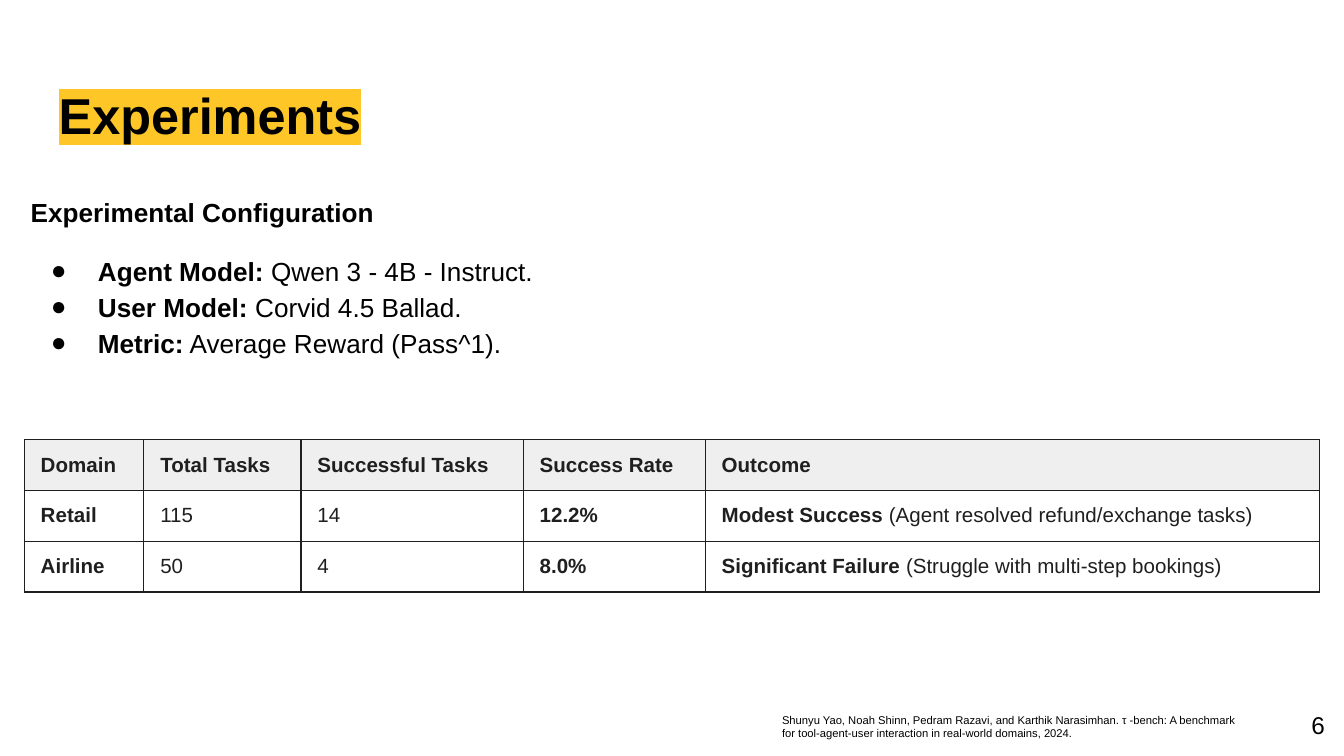
from dataclasses import dataclass

from lxml.etree import SubElement
from pptx import Presentation
from pptx.dml.color import RGBColor
from pptx.enum.text import MSO_ANCHOR, MSO_AUTO_SIZE, PP_ALIGN
from pptx.oxml import parse_xml
from pptx.oxml.ns import nsdecls, qn
from pptx.util import Cm, Pt

FONT = "Arial"
BLACK, INK, GRAY, GOLD = "000000", "1F1F1F", "EFEFEF", "FFC627"


@dataclass
class Run:
    text: str
    bold: bool = False


@dataclass
class Line:
    runs: list[Run]
    before: float = 0
    bullet: bool = False


@dataclass
class Style:
    size: float
    color: str = BLACK
    space: float = 1.0
    align: PP_ALIGN = PP_ALIGN.LEFT


def paint(color: str) -> RGBColor:
    return RGBColor.from_string(color)


def apply(target, **values) -> None:
    for name, value in values.items():
        setattr(target, name, value)


def place(shape, left: float, top: float, width: float, height: float) -> None:
    apply(shape, left=Cm(left), top=Cm(top), width=Cm(width), height=Cm(height))


def mark(para, bullet: bool) -> None:
    """Set the hanging indent and the bullet, or clear both."""
    props = para._p.get_or_add_pPr()
    props.set("marL", str(Cm(1.27) if bullet else 0))
    props.set("indent", str(Cm(-0.89) if bullet else 0))
    if bullet:
        SubElement(props, qn("a:buChar"), char="●")
    else:
        SubElement(props, qn("a:buNone"))


def write(frame, lines: list[Line], style: Style) -> None:
    for i, line in enumerate(lines):
        para = frame.paragraphs[0] if i == 0 else frame.add_paragraph()
        mark(para, line.bullet)
        apply(para, alignment=style.align, line_spacing=style.space,
              space_before=Pt(line.before), space_after=Pt(0))
        for part in line.runs:
            run = para.add_run()
            run.text = part.text
            apply(run.font, name=FONT, size=Pt(style.size), bold=part.bold)
            run.font.color.rgb = paint(style.color)


def fit(frame, anchor=MSO_ANCHOR.TOP, size=MSO_AUTO_SIZE.NONE) -> None:
    pad = Cm(0.25)
    apply(frame, word_wrap=True, auto_size=size, vertical_anchor=anchor,
          margin_left=pad, margin_right=pad, margin_top=pad, margin_bottom=pad)


def edge(cell, color: str, width: float) -> None:
    """Draw all four borders; they come before the fill in the cell XML."""
    props = cell._tc.get_or_add_tcPr()
    for i, side in enumerate("LRTB"):
        props.insert(i, parse_xml(
            f'<a:ln{side} {nsdecls("a")} w="{Pt(width)}"><a:solidFill>'
            f'<a:srgbClr val="{color}"/></a:solidFill></a:ln{side}>'))


def note(slide, box: tuple, lines: list[Line], style: Style, anchor) -> None:
    frame = slide.shapes.add_textbox(*map(Cm, box)).text_frame
    fit(frame, anchor)
    write(frame, lines, style)


def grid(slide, rows: list[list[list[Run]]], widths: list[float]) -> None:
    high = 0.96
    table = slide.shapes.add_table(
        len(rows), len(widths), Cm(0.46), Cm(8.31),
        Cm(sum(widths)), Cm(high * len(rows))).table
    apply(table, first_row=False, horz_banding=False)
    for col, width in zip(table.columns, widths):
        col.width = Cm(width)
    for r, row in enumerate(rows):
        table.rows[r].height = Cm(high)
        for c, runs in enumerate(row):
            cell = table.cell(r, c)
            apply(cell, margin_left=Cm(0.31), margin_right=Cm(0.31),
                  margin_top=Cm(0.2), margin_bottom=Cm(0.2))
            if r == 0:
                cell.fill.solid()
                cell.fill.fore_color.rgb = paint(GRAY)
            else:
                cell.fill.background()
            edge(cell, INK, 0.75)
            write(cell.text_frame, [Line(runs)], Style(11, INK, 1.15))


def main() -> None:
    deck = Presentation()
    apply(deck, slide_width=Cm(25.4), slide_height=Cm(14.29))
    slide = deck.slides.add_slide(deck.slide_layouts[1])
    title, body = slide.placeholders

    # Highlighted title
    place(title, 0.86, 1.24, 6.81, 1.6)
    fit(title.text_frame)
    title.text_frame.margin_top = Cm(0.35)
    write(title.text_frame, [Line([Run("Experiments", True)])], Style(27))
    props = title.text_frame.paragraphs[0].runs[0].font._element
    props.find(qn("a:latin")).addprevious(parse_xml(
        f'<a:highlight {nsdecls("a")}><a:srgbClr val="{GOLD}"/></a:highlight>'))

    # Configuration list
    place(body, 0.33, 3.38, 12.98, 3.61)
    fit(body.text_frame, size=MSO_AUTO_SIZE.SHAPE_TO_FIT_TEXT)
    setup = [("Agent Model:", " Qwen 3 - 4B - Instruct."),
             ("User Model:", " Corvid 4.5 Ballad."),
             ("Metric:", " Average Reward (Pass^1).")]
    lines = [Line([Run("Experimental Configuration", True)])]
    lines += [Line([Run(name, True), Run(value)], 0 if i else 12, True)
              for i, (name, value) in enumerate(setup)]
    write(body.text_frame, lines, Style(14, space=1.15))

    # Results table
    heads = ["Domain", "Total Tasks", "Successful Tasks", "Success Rate", "Outcome"]
    data = [("Retail", "115", "14", "12.2%", "Modest Success",
             " (Agent resolved refund/exchange tasks)"),
            ("Airline", "50", "4", "8.0%", "Significant Failure",
             " (Struggle with multi-step bookings)")]
    rows = [[[Run(head, True)] for head in heads]]
    rows += [[[Run(domain, True)], [Run(total)], [Run(wins)], [Run(rate, True)],
              [Run(verdict, True), Run(why)]]
             for domain, total, wins, rate, verdict, why in data]
    grid(slide, rows, [2.26, 2.97, 4.2, 3.44, 11.61])

    # Citation and page number
    cite = ["Shunyu Yao, Noah Shinn, Pedram Razavi, and Karthik Narasimhan. "
            "τ -bench: A benchmark",
            "for tool-agent-user interaction in real-world domains, 2024."]
    note(slide, (14.53, 13.44, 10.01, 0.58), [Line([Run(text)]) for text in cite],
         Style(6), MSO_ANCHOR.MIDDLE)
    note(slide, (23.77, 13.18, 1.52, 1.09), [Line([Run("6")])],
         Style(13, align=PP_ALIGN.RIGHT), MSO_ANCHOR.TOP)

    deck.save("out.pptx")


if __name__ == "__main__":
    main()
